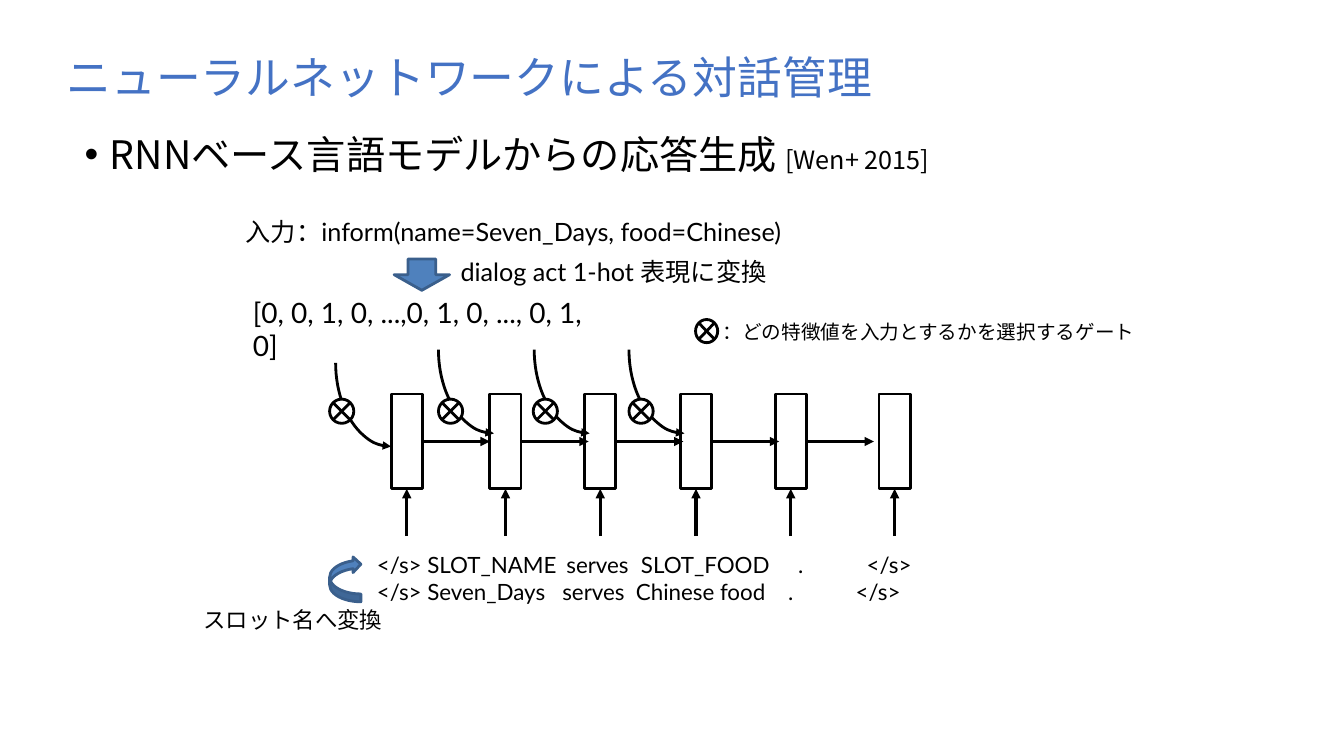
from dataclasses import dataclass

from lxml import etree
from pptx import Presentation
from pptx import util as u
from pptx.dml.color import RGBColor
from pptx.enum import shapes, text
from pptx.oxml import ns

# Grid: every column and row is a tenth of an inch.
CELL = 0.1
COLUMNS, ROWS = 133.33, 75
LATIN, JAPANESE = "Lato", "Noto Sans CJK JP"
BLACK, WHITE, TITLE_BLUE = "000000", "FFFFFF", "4472C4"
ARROW_FILL, ARROW_LINE = "4F81BD", "3A5F8C"

UNIT_TOP, UNIT_WIDTH, UNIT_HEIGHT = 39.1, 3.1, 9.4
ARROW_LENGTH, INPUT_BOTTOM = 6.7, 53.2
GATE_TOP, GATE_SIZE = 39.6, 2.4
ARC_WIDTH, ARC_HEIGHT = 16.6, 11


@dataclass
class Box:
    left: float
    top: float
    width: float
    height: float


@dataclass
class Label:
    box: Box
    words: str
    size: float


@dataclass
class Gate:
    left: float
    arc_left: float
    arc_top: float = 29.2


@dataclass
class Unit:
    left: float
    gate: Gate | None = None


@dataclass
class TokenLine:
    tokens: tuple[str, ...]
    tabs: tuple[float, ...]


LABELS = [
    Label(Box(23.4, 21, 56.3, 4), "入力：inform(name=Seven_Days, food=Chinese)", 18),
    Label(Box(24.1, 28.8, 36.9, 4.4), "[0, 0, 1, 0, ...,0, 1, 0, ..., 0, 1, 0]", 20),
    Label(Box(44.7, 24.9, 33.1, 4), "dialog act 1-hot 表現に変換", 18),
    Label(Box(70.7, 31.2, 43.3, 3.4), "：どの特徴値を入力とするかを選択するゲート", 14),
    Label(Box(19.2, 59.6, 20, 3.7), "スロット名へ変換", 16),
]
UNITS = [
    Unit(38.8, Gate(32.7, 30.5, 30.5)),
    Unit(48.6, Gate(43.5, 40.7)),
    Unit(58, Gate(52.9, 50.2)),
    Unit(67.5, Gate(62.4, 59.6)),
    Unit(76.9),
    Unit(87.2),
]
TOKEN_LINES = [
    TokenLine(("</s> SLOT_NAME", "serves", "SLOT_FOOD", ".", "</s>"),
              (18.8, 26.2, 41.8, 48.6)),
    TokenLine(("</s> Seven_Days", "serves", "Chinese food", ".", "</s>"),
              (18.4, 25.7, 40.8, 47.5)),
]


def grid(cells: float) -> u.Length:
    return u.Inches(cells * CELL)


def colour(value: str) -> RGBColor:
    return RGBColor.from_string(value)


def place(shape, box: Box) -> None:
    shape.left, shape.top = grid(box.left), grid(box.top)
    shape.width, shape.height = grid(box.width), grid(box.height)


def add_child(parent, tag: str, **attributes: str):
    child = etree.SubElement(parent, ns.qn(tag))
    for name, value in attributes.items():
        child.set(name, value)
    return child


def format_run(run, size: float, font: str = LATIN, value: str = BLACK) -> None:
    run.font.size = u.Pt(size)
    run.font.color.rgb = colour(value)
    run.font.name = font
    add_child(run.font._element, "a:ea", typeface=JAPANESE)


def format_line(shape, value: str, width: float, arrow: bool = False) -> None:
    shape.line.color.rgb = colour(value)
    shape.line.width = u.Pt(width)
    if arrow:
        add_child(shape._element.xpath(".//a:ln")[0], "a:tailEnd", type="triangle")


def add_outline(slide, kind, box: Box, fill: str | None = None,
                line: str = BLACK, arrow: bool = False, flip: str | None = None):
    """Draw a preset shape; flip is flipH or flipV."""
    shape = slide.shapes.add_shape(kind, 0, 0, 0, 0)
    place(shape, box)
    shape.shadow.inherit = False
    if fill:
        shape.fill.solid()
        shape.fill.fore_color.rgb = colour(fill)
    else:
        shape.fill.background()
    format_line(shape, line, 2, arrow)
    if flip:
        shape._element.spPr.find(ns.qn("a:xfrm")).set(flip, "1")
    return shape


def add_arrow(slide, x1: float, y1: float, x2: float, y2: float):
    arrow = slide.shapes.add_connector(
        shapes.MSO_CONNECTOR.STRAIGHT, grid(x1), grid(y1), grid(x2), grid(y2))
    format_line(arrow, BLACK, 2.25, arrow=True)
    add_child(arrow._element.spPr, "a:effectLst")
    return arrow


def add_text_frame(slide, box: Box):
    frame = slide.shapes.add_textbox(0, 0, 0, 0)
    place(frame, box)
    frame.text_frame.word_wrap = True
    return frame.text_frame


def add_label(slide, label: Label) -> None:
    frame = add_text_frame(slide, label.box)
    frame.text = label.words
    format_run(frame.paragraphs[0].runs[0], label.size)


def add_token_lines(slide) -> None:
    frame = add_text_frame(slide, Box(36.4, 54.2, 55.9, 6.4))
    for index, line in enumerate(TOKEN_LINES):
        paragraph = frame.add_paragraph() if index else frame.paragraphs[0]
        paragraph.text = "\t".join(line.tokens)
        tab_list = add_child(paragraph._p.get_or_add_pPr(), "a:tabLst")
        for tab in line.tabs:
            add_child(tab_list, "a:tab", pos=str(int(grid(tab))), algn="l")
        for run in paragraph.runs:
            format_run(run, 16)


def add_gate(slide, box: Box) -> None:
    add_outline(slide, shapes.MSO_SHAPE.FLOWCHART_SUMMING_JUNCTION, box, WHITE)


def add_network(slide) -> None:
    rectangles = [
        add_outline(slide, shapes.MSO_SHAPE.RECTANGLE,
                    Box(unit.left, UNIT_TOP, UNIT_WIDTH, UNIT_HEIGHT))
        for unit in UNITS]
    middle, bottom = UNIT_TOP + UNIT_HEIGHT / 2, UNIT_TOP + UNIT_HEIGHT
    for index, (unit, rectangle) in enumerate(zip(UNITS, rectangles)):
        centre, right = unit.left + UNIT_WIDTH / 2, unit.left + UNIT_WIDTH
        add_arrow(slide, centre, INPUT_BOTTOM, centre, bottom).end_connect(rectangle, 2)
        if index + 1 < len(UNITS):
            end = right + ARROW_LENGTH
            arrow = add_arrow(slide, right, middle, end, middle)
            arrow.begin_connect(rectangle, 3)
            if abs(end - UNITS[index + 1].left) < 0.1:
                arrow.end_connect(rectangles[index + 1], 1)
        if unit.gate:
            arc_box = Box(unit.gate.arc_left, unit.gate.arc_top, ARC_WIDTH, ARC_HEIGHT)
            arc = add_outline(slide, shapes.MSO_SHAPE.ARC, arc_box, arrow=True, flip="flipH")
            arc.rotation = 270
            add_gate(slide, Box(unit.gate.left, GATE_TOP, GATE_SIZE, GATE_SIZE))


def fill_title(title) -> None:
    place(title, Box(5.6, 3.7, 86.2, 8.4))
    frame = title.text_frame
    frame.text = "ニューラルネットワークによる対話管理"
    frame.vertical_anchor = text.MSO_ANCHOR.MIDDLE
    frame.auto_size = text.MSO_AUTO_SIZE.NONE
    paragraph = frame.paragraphs[0]
    paragraph.alignment = text.PP_ALIGN.LEFT
    paragraph.line_spacing = 0.9
    format_run(paragraph.runs[0], 32, JAPANESE, TITLE_BLUE)


def fill_body(body) -> None:
    place(body, Box(7.4, 12.4, 105.7, 50))
    body.text_frame.auto_size = text.MSO_AUTO_SIZE.NONE
    paragraph = body.text_frame.paragraphs[0]
    paragraph.text = "RNNベース言語モデルからの応答生成 "
    paragraph.add_run().text = "[Wen+ 2015]"
    for run, size in zip(paragraph.runs, (28, 18)):
        format_run(run, size, JAPANESE)
    paragraph.space_before = u.Pt(10)
    properties = paragraph._p.get_or_add_pPr()
    properties.set("marL", str(int(grid(2.5))))
    properties.set("indent", str(int(grid(-2.5))))
    add_child(properties, "a:buFont", typeface="Arial")
    add_child(properties, "a:buChar", char="•")


def main() -> None:
    presentation = Presentation()
    presentation.slide_width, presentation.slide_height = grid(COLUMNS), grid(ROWS)
    slide = presentation.slides.add_slide(presentation.slide_layouts[1])
    fill_title(slide.shapes.title)
    fill_body(slide.placeholders[1])
    add_network(slide)
    for label in LABELS:
        add_label(slide, label)
    add_token_lines(slide)
    add_gate(slide, Box(69, 31.7, 2.2, 2.3))
    add_outline(slide, shapes.MSO_SHAPE.DOWN_ARROW, Box(39.1, 25.7, 5.5, 3.1),
                ARROW_FILL, ARROW_LINE)
    add_outline(slide, shapes.MSO_SHAPE.CURVED_RIGHT_ARROW, Box(32.7, 55.2, 3.1, 4.5),
                ARROW_FILL, ARROW_LINE, flip="flipV")
    presentation.save("out.pptx")


if __name__ == "__main__":
    main()
